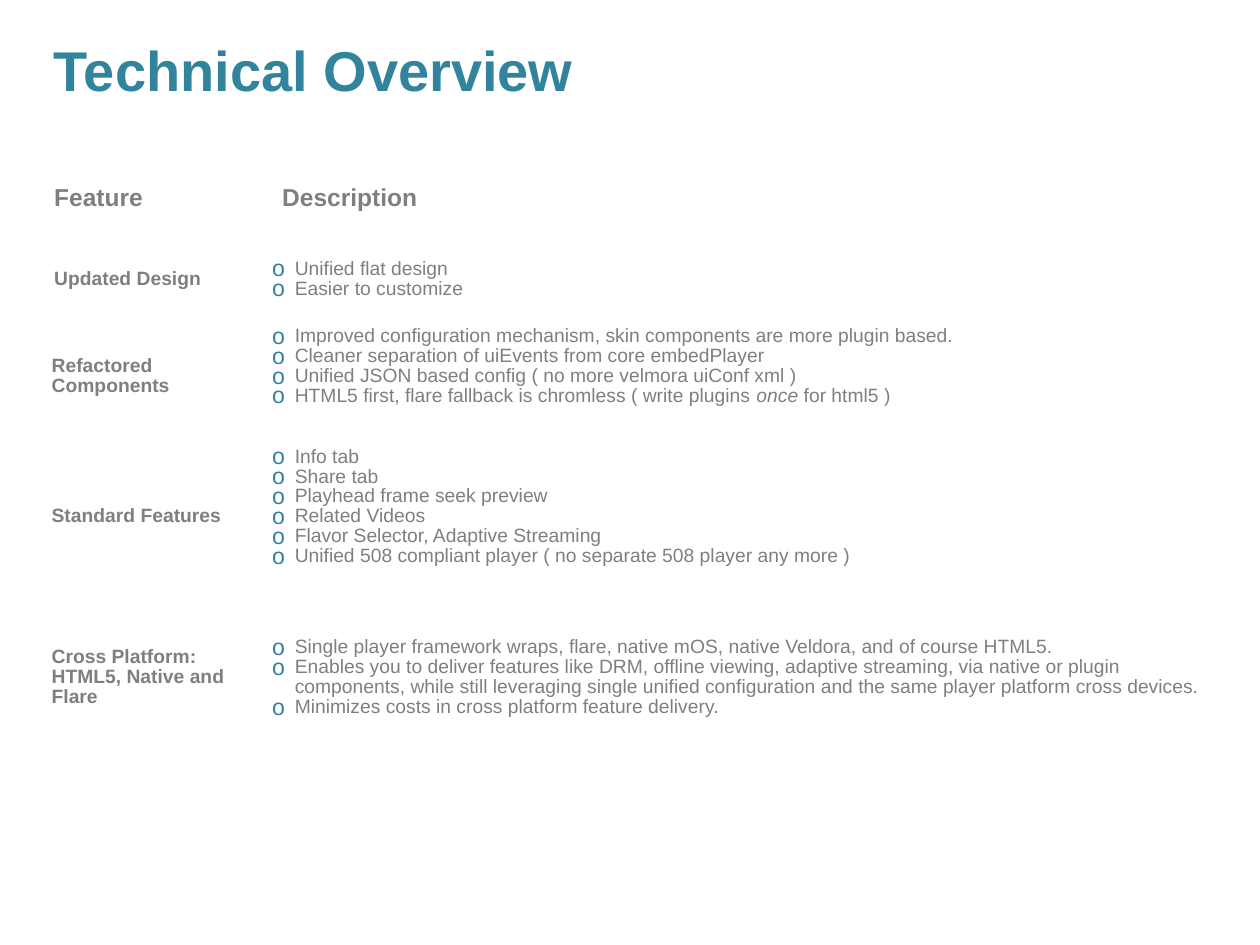
from dataclasses import dataclass

from lxml.etree import SubElement
from pptx import Presentation
from pptx.dml.color import RGBColor as RGB
from pptx.enum.text import MSO_ANCHOR as Anchor
from pptx.oxml.ns import qn
from pptx.util import Inches, Pt


@dataclass(frozen=True)
class Theme:
    face: str = "Arial"
    teal: str = "31849B"
    gray: str = "7F7F7F"
    title: int = 32
    head: int = 14
    body: int = 11
    lead: float = 0.93


THEME = Theme()
COLS = (1.67, 7.91)
HEADS = ("Feature", "Description")
HEAD_H = 0.66
LINE = 0.16

# Height, label indent, spare lines below the list, label, list items.
# An item is a string, or a tuple whose odd parts are italic.
ROWS = [
    (0.61, 0.1, 0, "Updated Design", ["Unified flat design", "Easier to customize"]),
    (0.93, 0.08, 1, "Refactored Components", [
        "Improved configuration mechanism, skin components are more plugin based.",
        "Cleaner separation of uiEvents from core embedPlayer",
        "Unified JSON based config ( no more velmora uiConf xml )",
        ("HTML5 first, flare fallback is chromless ( write plugins ", "once", " for html5 )"),
    ]),
    (1.27, 0.08, 1, "Standard Features", [
        "Info tab",
        "Share tab",
        "Playhead frame seek preview",
        "Related Videos",
        "Flavor Selector, Adaptive Streaming",
        "Unified 508 compliant player ( no separate 508 player any more )",
    ]),
    (1.27, 0.08, 0, "Cross Platform: HTML5, Native and Flare", [
        "Single player framework wraps, flare, native mOS, native Veldora, and of course HTML5.",
        "Enables you to deliver features like DRM, offline viewing, adaptive streaming, "
        "via native or plugin components, while still leveraging single unified "
        "configuration and the same player platform cross devices.",
        "Minimizes costs in cross platform feature delivery.",
    ]),
]


def style(para, size, color, bold=False):
    font = para.font
    font.name, font.size, font.bold = THEME.face, Pt(size), bold
    font.color.rgb = RGB.from_string(color)


def indent(para, left, hang=0):
    props = para._p.get_or_add_pPr()
    props.set("marL", str(Inches(left)))
    props.set("indent", str(-Inches(hang)))
    return props


def bullet(para):
    props = indent(para, 0.18, 0.18)
    color = SubElement(props, qn("a:buClr"))
    SubElement(color, qn("a:srgbClr"), val=THEME.teal)
    SubElement(props, qn("a:buSzPct"), val="120000")
    SubElement(props, qn("a:buFont"), typeface=THEME.face)
    SubElement(props, qn("a:buChar"), char="o")


def setup(cell, left, spare=0):
    cell.fill.background()
    cell.vertical_anchor = Anchor.MIDDLE
    cell.margin_left, cell.margin_right = Inches(left), Inches(0.08)
    cell.margin_top, cell.margin_bottom = Inches(0.05), Inches(0.05 + spare * LINE)


def label(cell, text, size, left, inset=0.08):
    setup(cell, inset)
    para = cell.text_frame.paragraphs[0]
    para.text = text
    indent(para, left)
    para.line_spacing = THEME.lead
    style(para, size, THEME.gray, True)


def points(cell, items, spare):
    setup(cell, 0.24, spare)
    frame = cell.text_frame
    for i, item in enumerate(items):
        para = frame.add_paragraph() if i else frame.paragraphs[0]
        bullet(para)
        para.line_spacing = THEME.lead
        style(para, THEME.body, THEME.gray)
        parts = (item,) if isinstance(item, str) else item
        for j, part in enumerate(parts):
            run = para.add_run()
            run.text = part
            if j % 2:
                run.font.italic = True


def add_title(slide, x, y, w, h):
    frame = slide.shapes.add_textbox(Inches(x), Inches(y), Inches(w), Inches(h)).text_frame
    frame.word_wrap = True
    frame.vertical_anchor = Anchor.MIDDLE
    para = frame.paragraphs[0]
    para.text = "Technical Overview"
    style(para, THEME.title, THEME.teal, True)


def add_grid(slide, x, y):
    highs = [HEAD_H] + [row[0] for row in ROWS]
    table = slide.shapes.add_table(
        len(highs), len(COLS), Inches(x), Inches(y), Inches(sum(COLS)), Inches(sum(highs))
    ).table
    table.first_row = table.horz_banding = False
    for col, wide in zip(table.columns, COLS):
        col.width = Inches(wide)
    for row, high in zip(table.rows, highs):
        row.height = Inches(high)

    # Header row
    label(table.cell(0, 0), HEADS[0], THEME.head, 0.1)
    label(table.cell(0, 1), HEADS[1], THEME.head, 0.08, 0.24)

    # Feature rows
    for i, (_, left, spare, name, items) in enumerate(ROWS, 1):
        label(table.cell(i, 0), name, THEME.body, left)
        points(table.cell(i, 1), items, spare)


def main():
    deck = Presentation()
    deck.slide_width, deck.slide_height = Inches(10), Inches(7.5)
    slide = deck.slides.add_slide(deck.slide_layouts[6])
    add_title(slide, 0.33, 0.17, 9, 0.75)
    add_grid(slide, 0.25, 1.25)
    deck.save("out.pptx")


if __name__ == "__main__":
    main()
